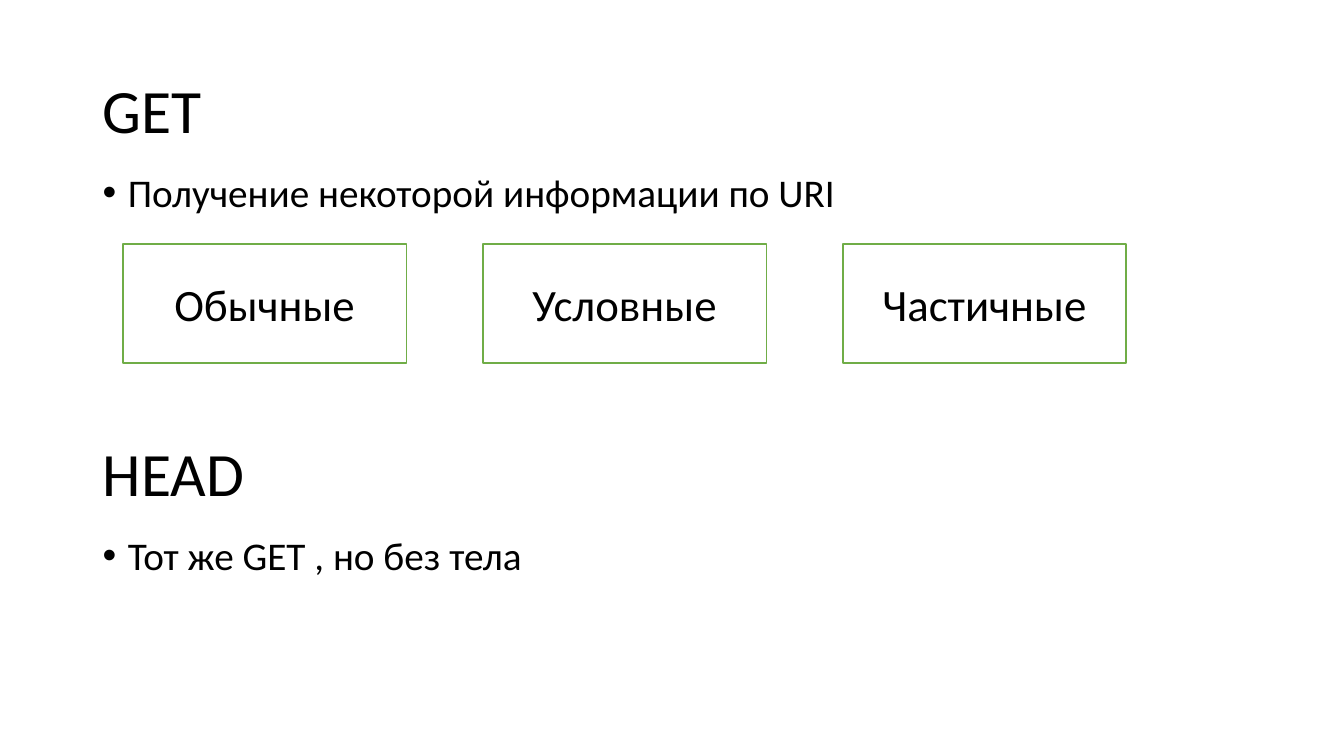
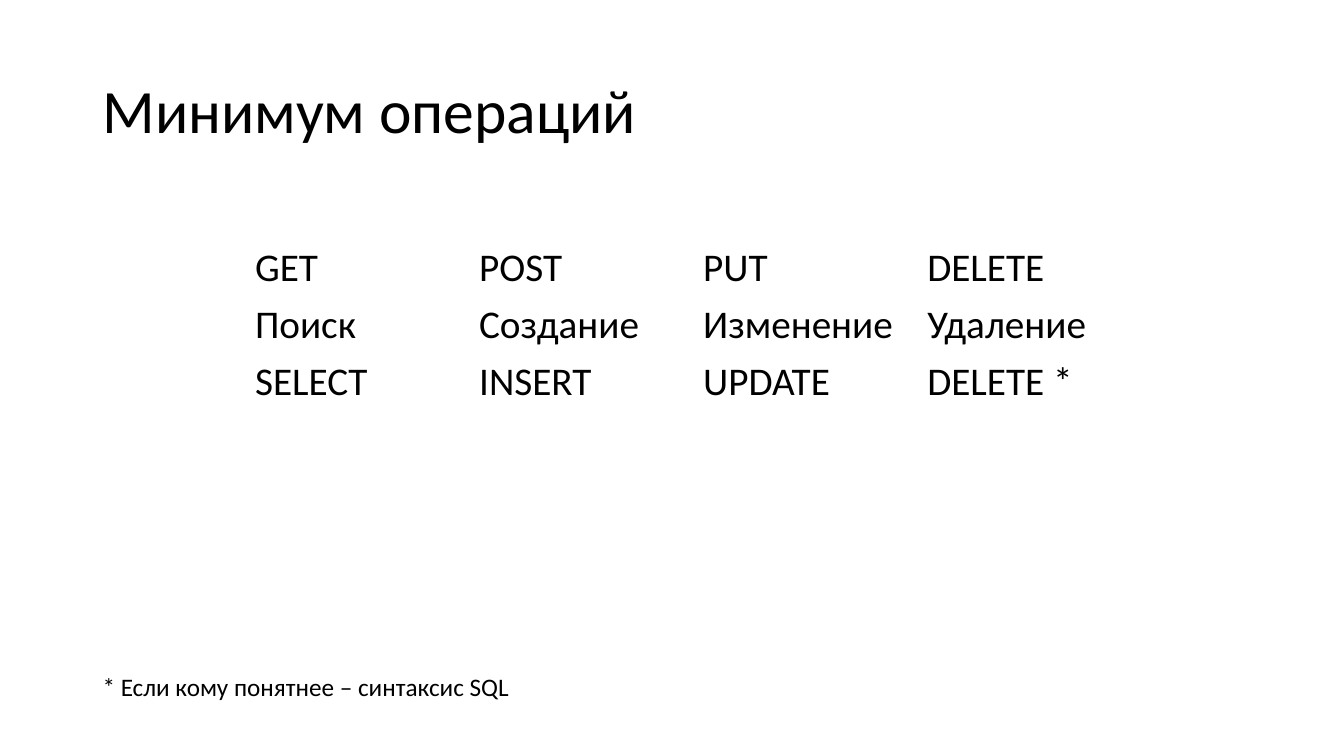
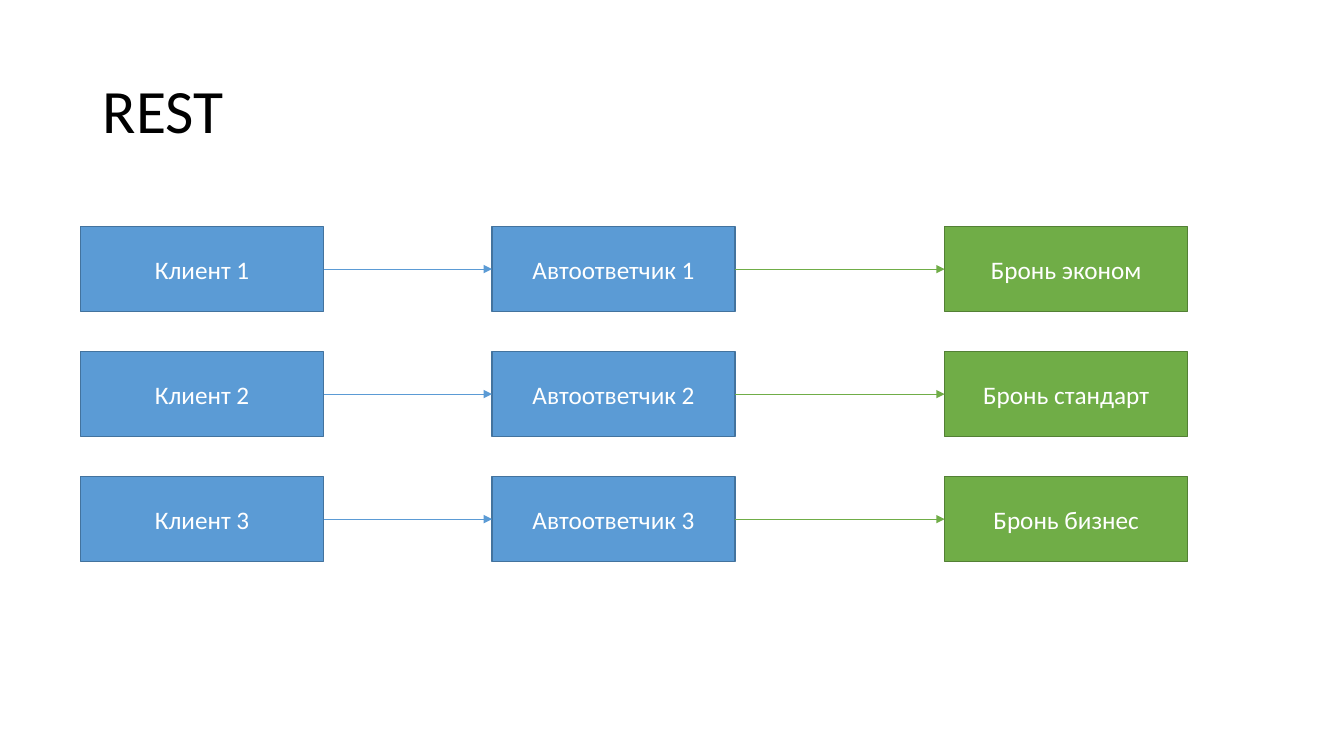
from collections import namedtuple

from pptx import Presentation
from pptx import util as u
from pptx.dml.color import RGBColor
from pptx.enum import shapes, text
from pptx.oxml.ns import qn
from lxml import etree

Box = namedtuple("Box", "left top width height")

FONT = "Calibri"
COLORS = {
    "ink": "000000",
    "paper": "FFFFFF",
    "blue": "5B9BD5",
    "blue_edge": "43739E",
    "green": "70AD47",
    "green_edge": "538035",
}
SIZES = {"title": 44, "option": 32, "body": 28, "small": 18}
SLIDE = Box(0, 0, 13.33, 7.5)
MARGIN, CONTENT_WIDTH = 0.92, 11.5
TITLE = Box(MARGIN, 0.4, CONTENT_WIDTH, 1.45)


def color(name):
    return RGBColor.from_string(COLORS[name])


def inches(box):
    return [u.Inches(length) for length in box]


def style(paragraph, size, ink="ink"):
    paragraph.font.name = FONT
    paragraph.font.size = u.Pt(SIZES[size])
    paragraph.font.bold = False
    paragraph.font.color.rgb = color(ink)


def add_text(slide, box, words, size, anchor=text.MSO_ANCHOR.TOP):
    frame = slide.shapes.add_textbox(*inches(box)).text_frame
    frame.word_wrap = True
    frame.vertical_anchor = anchor
    paragraph = frame.paragraphs[0]
    paragraph.text = words
    style(paragraph, size)
    return paragraph


def add_title(slide, words, box=TITLE):
    paragraph = add_text(slide, box, words, "title", text.MSO_ANCHOR.MIDDLE)
    paragraph.line_spacing = 0.9


def add_bullet(slide, box, words):
    paragraph = add_text(slide, box, words, "body")
    paragraph.line_spacing = 0.9
    paragraph.space_before = u.Pt(10)
    properties = paragraph._p.get_or_add_pPr()
    properties.set("marL", str(u.Inches(0.25)))
    properties.set("indent", str(-u.Inches(0.25)))
    etree.SubElement(properties, qn("a:buFont")).set("typeface", "Arial")
    etree.SubElement(properties, qn("a:buChar")).set("char", "•")


def add_section(slide, box, heading, bullet):
    add_title(slide, heading, box)
    add_bullet(slide, Box(box.left, box.top + 1.27, box.width, 0.88), bullet)


def add_card(slide, box, words, size, fill, edge, ink):
    card = slide.shapes.add_shape(shapes.MSO_SHAPE.RECTANGLE, *inches(box))
    card.shadow.inherit = False
    card.fill.solid()
    card.fill.fore_color.rgb = color(fill)
    card.line.color.rgb = color(edge)
    card.line.width = u.Pt(1)
    card.text_frame.vertical_anchor = text.MSO_ANCHOR.MIDDLE
    paragraph = card.text_frame.paragraphs[0]
    paragraph.text = words
    paragraph.alignment = text.PP_ALIGN.CENTER
    style(paragraph, size, ink)
    return card


def add_options(slide, box, options):
    card_width = 2.81
    step = (box.width - card_width) / (len(options) - 1)
    for column, words in enumerate(options):
        card = Box(box.left + column * step, box.top, card_width, box.height)
        add_card(slide, card, words, "option", "paper", "green", "ink")


def add_grid(slide, box, rows):
    frame = slide.shapes.add_table(len(rows), len(rows[0]), *inches(box))
    table = frame.table
    table.first_row = False
    table.horz_banding = False
    for row, values in enumerate(rows):
        for column, words in enumerate(values):
            cell = table.cell(row, column)
            cell.fill.background()
            cell.text = words
            style(cell.text_frame.paragraphs[0], "body")


def add_arrow(slide, source, target, line_color):
    arrow = slide.shapes.add_connector(shapes.MSO_CONNECTOR.STRAIGHT, 0, 0, 0, 0)
    arrow.begin_connect(source, 3)
    arrow.end_connect(target, 1)
    arrow.line.color.rgb = color(line_color)
    arrow.line.width = u.Pt(0.5)
    line = arrow.line._get_or_add_ln()
    etree.SubElement(line, qn("a:tailEnd")).set("type", "triangle")
    etree.SubElement(arrow._element.spPr, qn("a:effectLst"))


def add_flow(slide, box, rows):
    card_width, card_height = 2.41, 0.84
    offsets = (0, 4.08, box.width - card_width)
    fills = ("blue", "blue", "green")
    step = (box.height - card_height) / (len(rows) - 1)
    for row, names in enumerate(rows):
        top = box.top + row * step
        cards = [
            add_card(slide, Box(box.left + offset, top, card_width, card_height),
                     words, "small", fill, fill + "_edge", "paper")
            for offset, words, fill in zip(offsets, names, fills)
        ]
        for source, target, fill in zip(cards, cards[1:], fills[1:]):
            add_arrow(slide, source, target, "blue" if source is cards[0] else fill)


def build_methods(slide):
    add_section(slide, TITLE, "GET", "Получение некоторой информации по URI")
    add_options(slide, Box(1.22, 2.42, 9.95, 1.18),
                ("Обычные", "Условные", "Частичные"))
    add_section(slide, TITLE._replace(top=4), "HEAD", "Тот же GET , но без тела")


def build_operations(slide):
    add_title(slide, "Минимум операций")
    add_grid(slide, Box(2.43, 2.37, 8.89, 1.7), (
        ("GET", "POST", "PUT", "DELETE"),
        ("Поиск", "Создание", "Изменение", "Удаление"),
        ("SELECT", "INSERT", "UPDATE", "DELETE *"),
    ))
    add_text(slide, Box(MARGIN, 6.61, 11.3, 0.4),
             "* Если кому понятнее – синтаксис SQL", "small")


def build_rest(slide):
    add_title(slide, "REST")
    tariffs = ("эконом", "стандарт", "бизнес")
    add_flow(slide, Box(0.8, 2.25, 10.98, 3.32), [
        (f"Клиент {number}", f"Автоответчик {number}", f"Бронь {tariff}")
        for number, tariff in enumerate(tariffs, 1)
    ])


def main():
    presentation = Presentation()
    presentation.slide_width = u.Inches(SLIDE.width)
    presentation.slide_height = u.Inches(SLIDE.height)
    for build in (build_methods, build_operations, build_rest):
        build(presentation.slides.add_slide(presentation.slide_layouts[6]))
    presentation.save("out.pptx")


if __name__ == "__main__":
    main()
